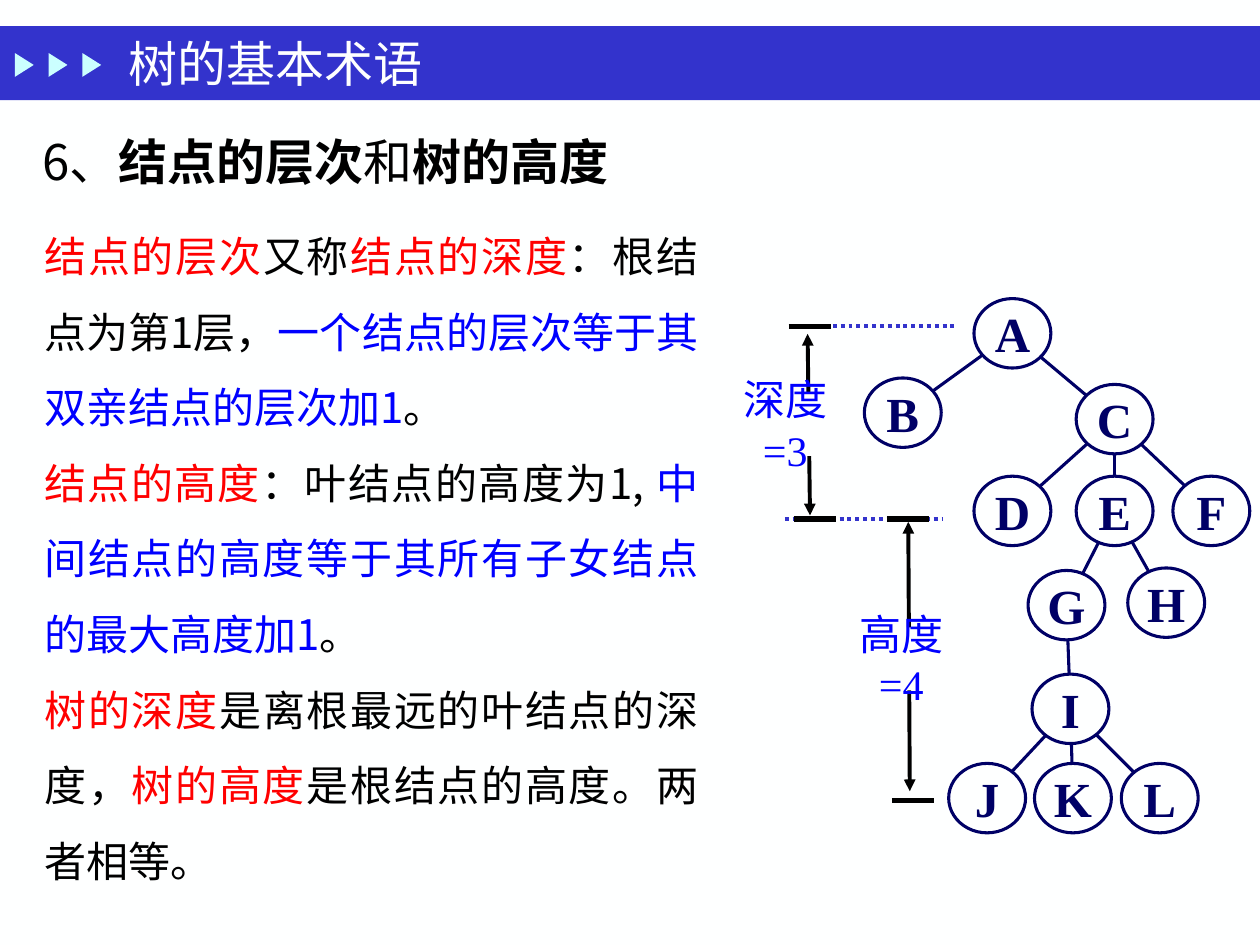
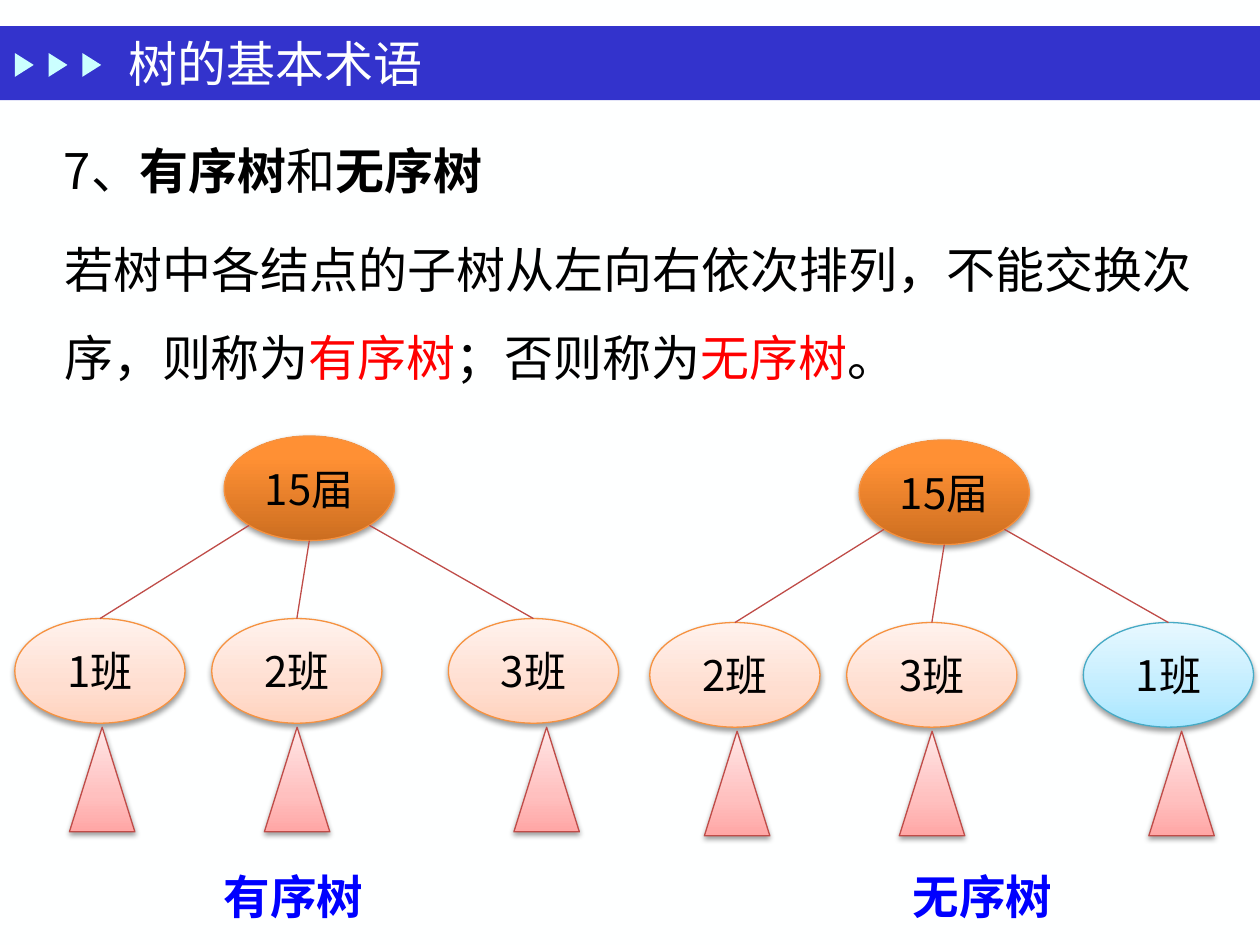
from math import sqrt

from lxml.etree import SubElement
from pptx import Presentation
from pptx.dml.color import RGBColor
from pptx.enum.dml import MSO_LINE
from pptx.enum.shapes import MSO_CONNECTOR, MSO_SHAPE as Preset
from pptx.enum.text import MSO_ANCHOR as Anchor, MSO_AUTO_SIZE, PP_ALIGN as Align
from pptx.oxml.ns import qn
from pptx.util import Cm, Pt

COLORS = {
    "paper": "FEFFFF", "band": "3333CC", "marker": "CBFFFF", "ink": "000000",
    "term": "FF0000", "rule": "0000FF", "node": "000066",
    "orange": "F69240", "red": "BF4C48", "teal": "46AAC5",
}
# Gradient stops (position in percent, colour), from the bottom up
GRADIENTS = {
    "root": [(0, "CC6E20"), (80, "FF9034"), (100, "FF9136")],
    "class": [(0, "FFD2BD"), (35, "FFDED0"), (100, "FFF2ED")],
    "moved": [(0, "A7E6FF"), (35, "C1EDFF"), (100, "E7F8FF")],
    "subtree": [(0, "FFA6A5"), (35, "FFC0BF"), (100, "FFE7E7")],
}
SANS, SERIF = "Noto Sans CJK SC", "Times New Roman"


def rgb(name):
    return RGBColor.from_string(COLORS[name])


class Deck:
    """Holds the style and the current slide; all lengths are centimetres."""

    def __init__(self):
        self.prs = Presentation()
        self.prs.slide_width, self.prs.slide_height = Cm(25.4), Cm(19.05)
        self.layout = self.prs.slide_layouts[1]
        background = self.prs.slide_master.background.fill
        background.solid()
        background.fore_color.rgb = rgb("paper")
        self.slide = None

    def new_slide(self, title):
        first = self.slide is None
        self.slide = self.prs.slides.add_slide(self.layout)
        if first:
            self.header_band()
        self.place(self.slide.shapes.title, (2.34, 0.53, 17.78, 1.47))
        self.set_text(self.slide.shapes.title, [title], 28, "paper", SERIF,
                      anchor=Anchor.MIDDLE)

    def header_band(self):
        """Draw the band and its three markers, then hand them to the layout."""
        parts = [self.shape(Preset.RECTANGLE, (0, 0.53, 25.4, 1.49), "band")]
        for i in range(3):
            marker = self.shape(Preset.ISOSCELES_TRIANGLE,
                                (0.25 + 0.68 * i, 1.12, 0.48, 0.38), "marker")
            marker.rotation = 90
            parts.append(marker)
        for position, part in enumerate(parts, start=2):
            self.layout.shapes.element.insert(position, part.element)

    def place(self, shape, box):
        shape.left, shape.top, shape.width, shape.height = map(Cm, box)

    def set_text(self, shape, paragraphs, size, color="ink", font=SANS, bold=False,
                 align=Align.LEFT, spacing=1.0, anchor=Anchor.TOP, inset=None):
        """Each paragraph is a string or a list of strings and (text, style)."""
        frame = shape.text_frame
        frame.word_wrap = True
        frame.auto_size = MSO_AUTO_SIZE.NONE
        frame.vertical_anchor = anchor
        if inset is not None:
            frame.margin_left = frame.margin_right = Cm(inset)
            frame.margin_top = frame.margin_bottom = 0
        for i, pieces in enumerate(paragraphs):
            paragraph = frame.add_paragraph() if i else frame.paragraphs[0]
            props = paragraph._p.get_or_add_pPr()
            props.set("marL", "0")
            props.set("indent", "0")
            SubElement(props, qn("a:buNone"))
            paragraph.alignment = align
            paragraph.line_spacing = spacing
            paragraph.space_before = Pt(0)
            paragraph.font.size, paragraph.font.name = Pt(size), font
            paragraph.font.bold = bold
            paragraph.font.color.rgb = rgb(color)
            SubElement(props.find(qn("a:defRPr")), qn("a:ea"), typeface=SANS)
            for piece in [pieces] if isinstance(pieces, str) else pieces:
                text, style = (piece, None) if isinstance(piece, str) else piece
                run = paragraph.add_run()
                run.text = text
                if style == "bold":
                    run.font.bold = True
                elif style:
                    run.font.color.rgb = rgb(style)

    def body(self, box, paragraphs, size):
        placeholder = self.slide.placeholders[1]
        self.place(placeholder, box)
        self.set_text(placeholder, paragraphs, size, align=Align.JUSTIFY, spacing=1.5)

    def text(self, box, pieces, size, **style):
        text_box = self.slide.shapes.add_textbox(*map(Cm, box))
        self.set_text(text_box, [pieces], size, **style)

    def shape(self, preset, box, fill, line=None, width=0.75):
        shape = self.slide.shapes.add_shape(preset, *map(Cm, box))
        shape.shadow.inherit = False
        if fill in GRADIENTS:
            self.gradient(shape, GRADIENTS[fill])
        else:
            shape.fill.solid()
            shape.fill.fore_color.rgb = rgb(fill)
        if line:
            shape.line.color.rgb = rgb(line)
            shape.line.width = Pt(width)
        else:
            shape.line.fill.background()
        return shape

    def gradient(self, shape, stops):
        """Upward gradient with a soft shadow below the shape."""
        shape.fill.gradient()
        shape.fill.gradient_angle = 90
        props = shape.element.spPr
        stop_list = props.find(qn("a:gradFill")).find(qn("a:gsLst"))
        for stop in list(stop_list):
            stop_list.remove(stop)
        for percent, color in stops:
            stop = SubElement(stop_list, qn("a:gs"), pos=str(percent * 1000))
            SubElement(stop, qn("a:srgbClr"), val=color)
        shadow = SubElement(props.find(qn("a:effectLst")), qn("a:outerShdw"),
                            blurRad="40000", dist="20000", dir="5400000", rotWithShape="0")
        shade = SubElement(shadow, qn("a:srgbClr"), val=COLORS["ink"])
        SubElement(shade, qn("a:alpha"), val="38000")

    def line(self, start, end, color, width, dotted=False, arrows=False):
        line = self.slide.shapes.add_connector(
            MSO_CONNECTOR.STRAIGHT, *map(Cm, (*start, *end)))
        line.line.color.rgb = rgb(color)
        line.line.width = Pt(width)
        if dotted:
            line.line.dash_style = MSO_LINE.ROUND_DOT
        if arrows:
            outline = line.element.spPr.find(qn("a:ln"))
            for end_tag in ("a:headEnd", "a:tailEnd"):
                SubElement(outline, qn(end_tag), type="triangle")
        SubElement(line.element.spPr, qn("a:effectLst"))
        return line


def levels_slide(deck):
    deck.new_slide("树的基本术语")
    deck.body((0.64, 4.01, 13.69, 13.92), [
        [("结点的层次", "term"), "又称", ("结点的深度", "term"), "：根结点为第1层，",
         ("一个结点的层次等于其双亲结点的层次加1", "rule"), "。"],
        [("结点的高度", "term"), "：叶结点的高度为1, ",
         ("中间结点的高度等于其所有子女结点的最大高度加1", "rule"), "。"],
        [("树的深度", "term"), "是离根最远的叶结点的深度，",
         ("树的高度", "term"), "是根结点的高度。两者相等。"],
    ], 24)
    deck.text((0.61, 2.41, 22.86, 1.47),
              ["6、", ("结点的层次", "bold"), "和", ("树的高度", "bold")], 28, spacing=1.1)

    # Depth and height measures
    top, middle, bottom = 6.58, 10.46, 16.13
    deck.line((16, top), (19.23, top), "band", 2.25, dotted=True)
    deck.line((15.82, middle), (19, middle), "band", 2.25, dotted=True)
    for left, level in [(15.9, top), (16, middle), (17.88, middle), (17.98, bottom)]:
        deck.line((left, level), (left + 0.85, level), "ink", 3)
    deck.line((16.33, 10.39), (16.28, 6.73), "ink", 2.25, arrows=True)
    deck.line((18.34, 15.95), (18.31, 10.52), "ink", 2.25, arrows=True)
    for label, left, label_top in [("深度=3", 14.27, 7.92), ("高度=4", 16.61, 12.65)]:
        plate = deck.shape(Preset.RECTANGLE, (left, label_top, 3.12, 1.27), "paper")
        deck.set_text(plate, [label], 24, "rule", SERIF, align=Align.CENTER,
                      anchor=Anchor.MIDDLE, inset=0.38)

    # Tree: node centres, then edges under the nodes
    centers = {
        "A": (20.41, 6.72), "B": (18.2, 8.32), "C": (22.47, 8.45),
        "D": (20.41, 10.3), "E": (22.47, 10.3), "F": (24.42, 10.3),
        "G": (21.5, 12.2), "H": (23.51, 12.15), "I": (21.58, 14.29),
        "J": (19.9, 16.09), "K": (21.63, 16.09), "L": (23.38, 16.09),
    }
    children = {"A": "BC", "C": "DEF", "E": "GH", "G": "I", "I": "JKL"}
    for parent, names in children.items():
        for child in names:
            deck.line(centers[parent], centers[child], "node", 1.75)
    width, height = 1.55, 1.4
    for name, (x, y) in centers.items():
        node = deck.shape(Preset.OVAL, (x - width / 2, y - height / 2, width, height),
                          "paper", "node", 1.75)
        deck.set_text(node, [name], 28, "node", SERIF, bold=True, align=Align.CENTER,
                      anchor=Anchor.MIDDLE, inset=0)


def class_tree(deck, dx, dy, classes, moved=None):
    """A year with three classes, each with a subtree below it."""
    width, height = 3.43, 2.11

    def oval(label, x, y, fill, line):
        node = deck.shape(Preset.OVAL, (x + dx, y + dy, width, height), fill, line)
        deck.set_text(node, [label], 24, align=Align.CENTER, anchor=Anchor.MIDDLE, inset=0)
        return node

    root_x, root_y, class_y = 4.52, 8.79, 12.47
    oval("15届", root_x, root_y, "root", "orange")
    diagonal = sqrt(0.5)
    branches = [(0.3, 1.4, -diagonal, diagonal), (4.27, 5.33, 0, 1),
                (9.04, 10.36, diagonal, diagonal)]
    for label, (x, subtree_x, across, down) in zip(classes, branches):
        fill, line = ("moved", "teal") if label == moved else ("class", "orange")
        node = oval(label, x, class_y, fill, line)
        start = (root_x + dx + width / 2 * (1 + across),
                 root_y + dy + height / 2 * (1 + down))
        edge = deck.line(start, (x + dx + width / 2, class_y + dy), "red", 0.75)
        edge.end_connect(node, 0)
        deck.shape(Preset.ISOSCELES_TRIANGLE,
                   (subtree_x + dx, 14.66 + dy, 1.32, height), "subtree", "red")


def order_slide(deck):
    deck.new_slide("树的基本术语")
    deck.body((1.04, 4.11, 23.24, 3.63), [
        ["若树中各结点的子树从左向右依次排列，不能交换次序，则称为",
         ("有序树", "term"), "；否则称为", ("无序树", "term"), "。"],
    ], 28)
    deck.text((1.04, 2.59, 23.37, 1.47),
              ["7、", ("有序树", "bold"), "和", ("无序树", "bold")], 28, spacing=1.1)

    # Ordered and unordered trees with captions
    class_tree(deck, 0, 0, ["1班", "2班", "3班"])
    class_tree(deck, 12.8, 0.08, ["2班", "3班", "1班"], moved="1班")
    for caption, left in [("有序树", 3.53), ("无序树", 17.42)]:
        deck.text((left, 17.37, 4.78, 1.4), caption, 26.6, color="rule", bold=True,
                  align=Align.CENTER)


def main():
    deck = Deck()
    levels_slide(deck)
    order_slide(deck)
    deck.prs.save("out.pptx")


if __name__ == "__main__":
    main()
